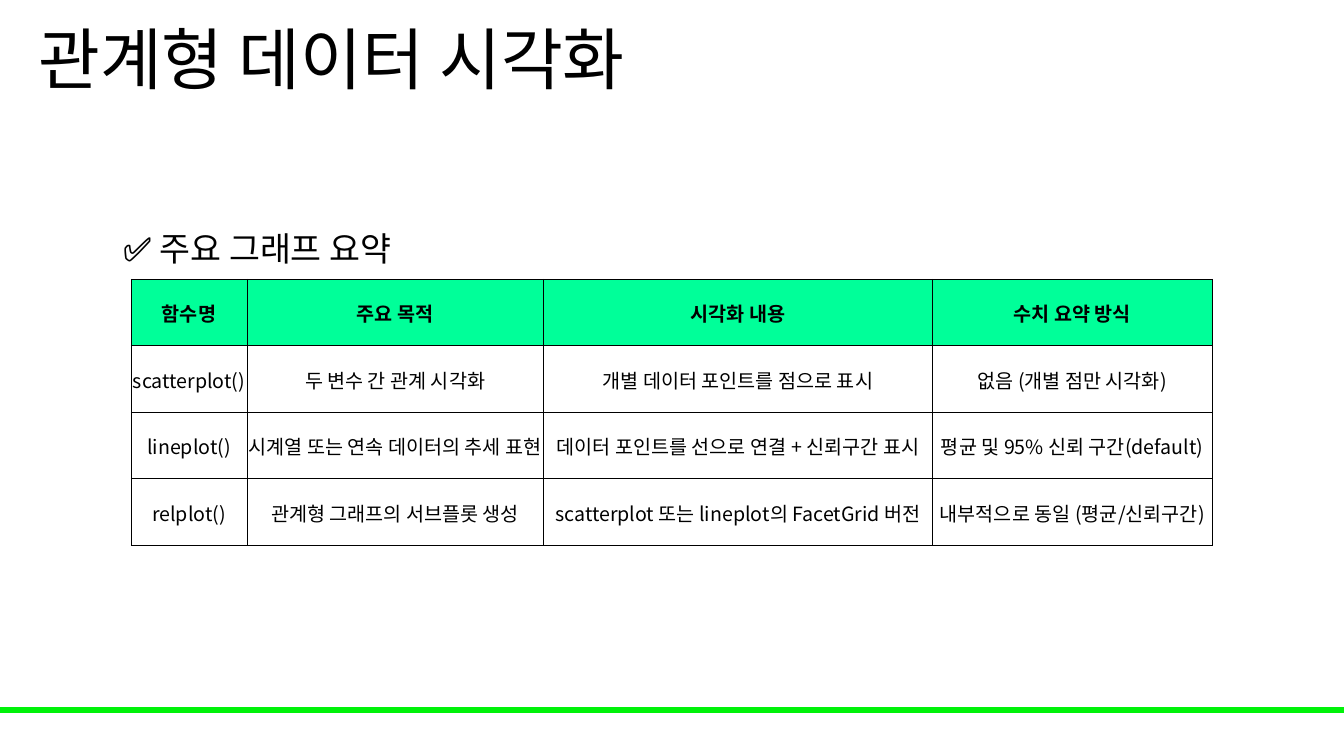
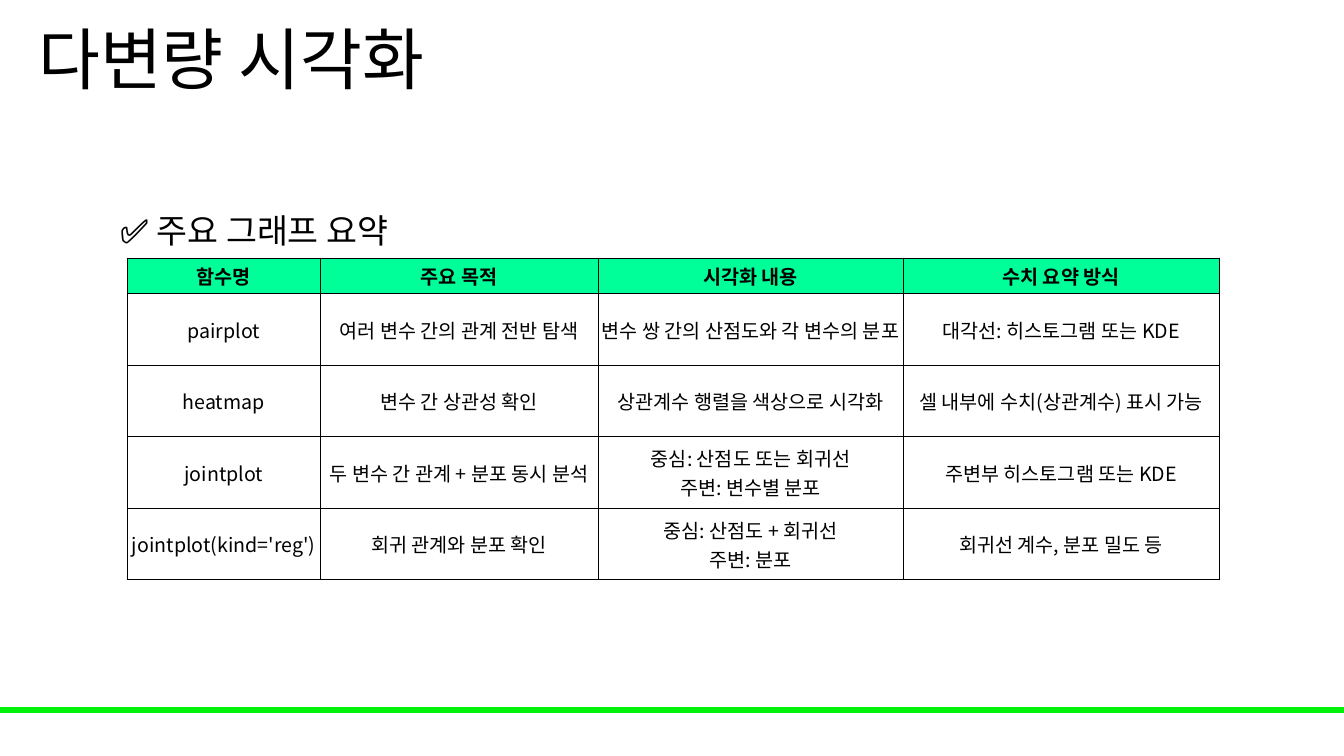
import pptx
import pptx.dml.color
import pptx.enum.shapes
import pptx.enum.text
import pptx.oxml
import pptx.oxml.ns
import pptx.util
from lxml import etree

EMU_PER_PX = 9144
WIDTH, HEIGHT = 1333, 750
HEADINGS = ["함수명", "주요 목적", "시각화 내용", "수치 요약 방식"]


def px(length):
    return pptx.util.Emu(length * EMU_PER_PX)


def box(*lengths):
    return [px(length) for length in lengths]


def colour(value):
    return pptx.dml.color.RGBColor.from_string(value)


class Deck:
    FONT = "Noto Sans CJK KR"
    INK = "000000"
    BAND = "00F209"
    HEADING_FILL = "00FF99"
    CENTER = pptx.enum.text.PP_ALIGN.CENTER
    LEFT = pptx.enum.text.PP_ALIGN.LEFT
    MIDDLE = pptx.enum.text.MSO_ANCHOR.MIDDLE

    def __init__(self):
        self.presentation = pptx.Presentation()
        self.presentation.slide_width = px(WIDTH)
        self.presentation.slide_height = px(HEIGHT)
        self.slide = None

    def add_slide(self, heading):
        layout = self.presentation.slide_layouts[5]
        self.slide = self.presentation.slides.add_slide(layout)
        self.band()
        self.title(heading)

    def set_text(self, frame, text, size, bold=False, align=LEFT, spacing=None):
        frame.text = text
        for paragraph in frame.paragraphs:
            paragraph.alignment = align
            paragraph.line_spacing = spacing
            for run in paragraph.runs:
                run.font.size = pptx.util.Pt(size)
                run.font.bold = bold
                run.font.color.rgb = colour(self.INK)
                run.font.name = self.FONT
                east_asian = etree.SubElement(
                    run.font._element, pptx.oxml.ns.qn("a:ea"))
                east_asian.set("typeface", self.FONT)

    def band(self):
        band = self.slide.shapes.add_shape(
            pptx.enum.shapes.MSO_SHAPE.RECTANGLE, *box(0, 702, WIDTH, 5))
        band.shadow.inherit = False
        band.fill.solid()
        band.fill.fore_color.rgb = colour(self.BAND)
        band.line.color.rgb = colour(self.BAND)
        band.line.width = pptx.util.Pt(1)

    def title(self, text):
        title = self.slide.shapes.title
        title.left, title.top, title.width, title.height = box(28, 0, 1150, 125)
        frame = title.text_frame
        frame.auto_size = pptx.enum.text.MSO_AUTO_SIZE.NONE
        frame.vertical_anchor = self.MIDDLE
        self.set_text(frame, text, 48, spacing=0.9)

    def caption(self, left, top, text):
        frame = self.slide.shapes.add_textbox(*box(left, top, 775, 64)).text_frame
        frame.word_wrap = True
        frame.auto_size = pptx.enum.text.MSO_AUTO_SIZE.SHAPE_TO_FIT_TEXT
        self.set_text(frame, text, 24, spacing=1.5)

    def borders(self, cell):
        properties = cell._tc.get_or_add_tcPr()
        for side in "LRTB":
            properties.append(pptx.oxml.parse_xml(
                f'<a:ln{side} {pptx.oxml.ns.nsdecls("a")} w="6350">'
                f'<a:solidFill><a:srgbClr val="{self.INK}"/></a:solidFill>'
                f'</a:ln{side}>'))

    def cell(self, cell, text, is_heading):
        cell.margin_left = cell.margin_right = cell.margin_top = px(1)
        cell.margin_bottom = 0
        cell.vertical_anchor = self.MIDDLE
        self.set_text(cell.text_frame, text, 14, is_heading, self.CENTER)
        self.borders(cell)
        if is_heading:
            cell.fill.solid()
            cell.fill.fore_color.rgb = colour(self.HEADING_FILL)
        else:
            cell.fill.background()

    def table(self, left, top, widths, heading_height, row_height, body):
        rows = [HEADINGS] + body
        heights = [heading_height] + [row_height] * len(body)
        table = self.slide.shapes.add_table(
            len(rows), len(widths),
            *box(left, top, sum(widths), sum(heights))).table
        table.horz_banding = False
        for column, width in zip(table.columns, widths):
            column.width = px(width)
        for row, height in zip(table.rows, heights):
            row.height = px(height)
        for row_index, texts in enumerate(rows):
            for column_index, text in enumerate(texts):
                self.cell(table.cell(row_index, column_index), text, row_index == 0)


def main():
    summary = "✅ 주요 그래프 요약"
    deck = Deck()

    deck.add_slide("관계형 데이터 시각화")
    deck.caption(112, 201, summary)
    deck.table(130, 277, [115, 294, 386, 277], 66, 66, [
        ["scatterplot()", "두 변수 간 관계 시각화",
         "개별 데이터 포인트를 점으로 표시", "없음 (개별 점만 시각화)"],
        ["lineplot()", "시계열 또는 연속 데이터의 추세 표현",
         "데이터 포인트를 선으로 연결 + 신뢰구간 표시",
         "평균 및 95% 신뢰 구간(default)"],
        ["relplot()", "관계형 그래프의 서브플롯 생성",
         "scatterplot 또는 lineplot의 FacetGrid 버전",
         "내부적으로 동일 (평균/신뢰구간)"],
    ])

    deck.add_slide("다변량 시각화")
    deck.caption(109, 183, summary)
    deck.table(126, 256, [192, 275, 303, 313], 35, 71, [
        ["pairplot", "여러 변수 간의 관계 전반 탐색",
         "변수 쌍 간의 산점도와 각 변수의 분포",
         "대각선: 히스토그램 또는 KDE"],
        ["heatmap", "변수 간 상관성 확인",
         "상관계수 행렬을 색상으로 시각화",
         "셀 내부에 수치(상관계수) 표시 가능"],
        ["jointplot", "두 변수 간 관계 + 분포 동시 분석",
         "중심: 산점도 또는 회귀선\v주변: 변수별 분포",
         "주변부 히스토그램 또는 KDE"],
        ["jointplot(kind='reg')", "회귀 관계와 분포 확인",
         "중심: 산점도 + 회귀선\v주변: 분포",
         "회귀선 계수, 분포 밀도 등"],
    ])

    deck.presentation.save("out.pptx")


if __name__ == "__main__":
    main()
